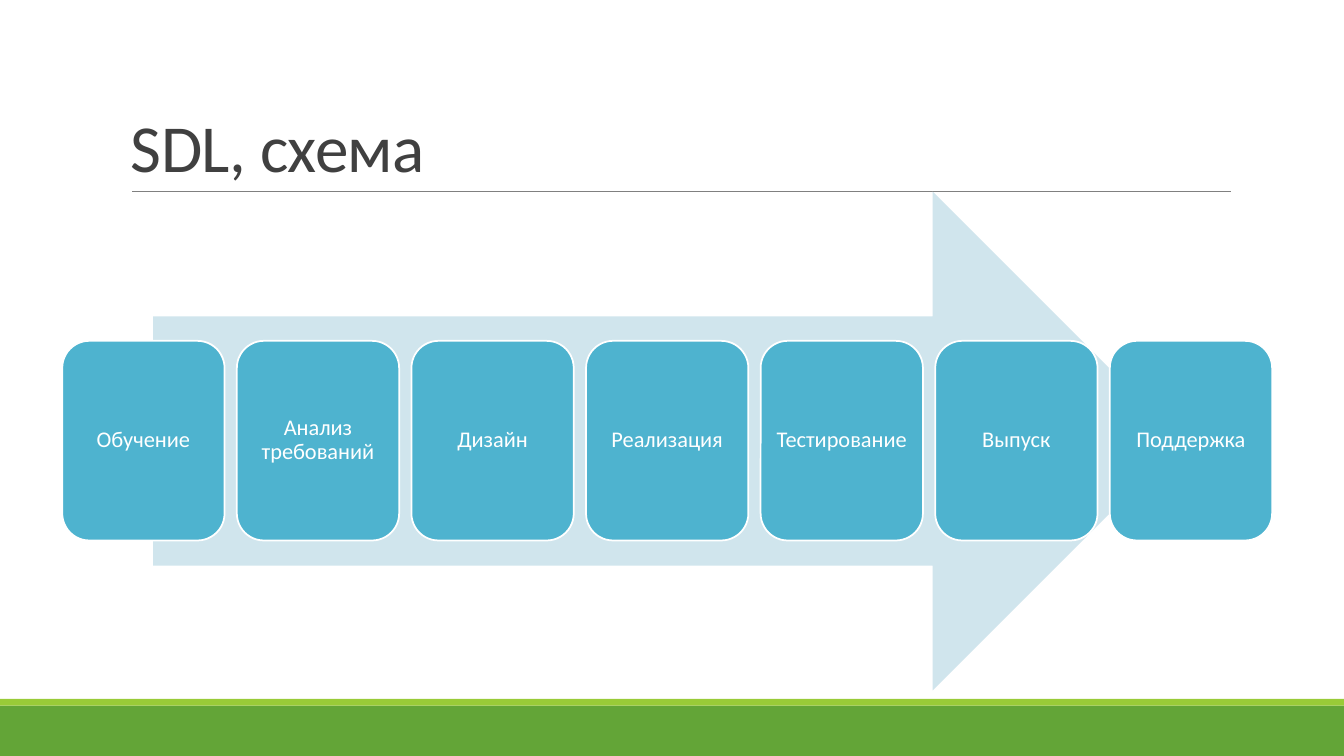
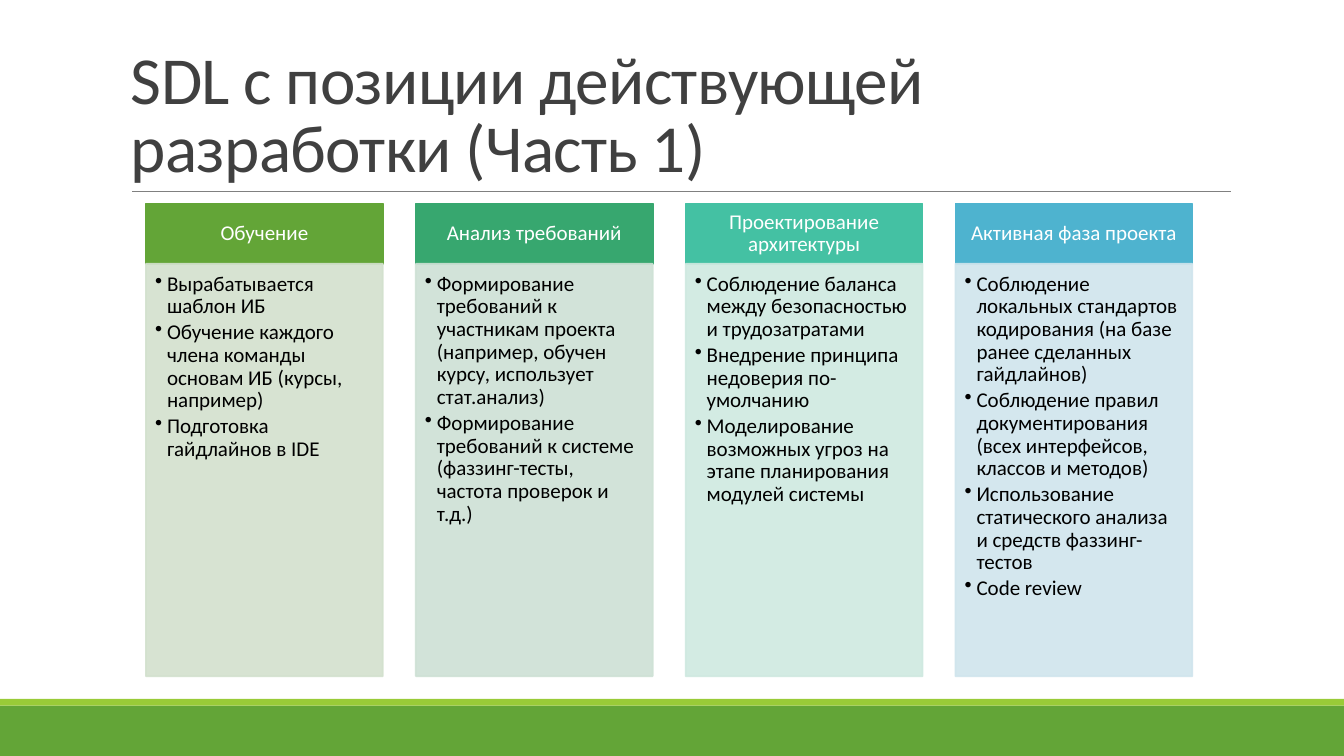
"""Build two slides about the SDL process."""
from dataclasses import dataclass

from lxml import etree
from pptx import Presentation
from pptx.dml.color import RGBColor
from pptx.enum.shapes import MSO_CONNECTOR, MSO_SHAPE
from pptx.enum.text import MSO_ANCHOR, PP_ALIGN
from pptx.oxml.ns import qn
from pptx.util import Cm, Pt

RECT = MSO_SHAPE.RECTANGLE
ROUND = MSO_SHAPE.ROUNDED_RECTANGLE
ARROW = MSO_SHAPE.RIGHT_ARROW
STRAIGHT = MSO_CONNECTOR.STRAIGHT
TOP, MIDDLE, BOTTOM = MSO_ANCHOR.TOP, MSO_ANCHOR.MIDDLE, MSO_ANCHOR.BOTTOM
LEFT, CENTER = PP_ALIGN.LEFT, PP_ALIGN.CENTER


@dataclass(frozen=True)
class Theme:
    """Hold the colours, font and type sizes."""
    font: str = "Calibri"
    title: str = "404040"
    rule: str = "808080"
    green: str = "63A537"
    lime: str = "99CB38"
    leaf: str = "37A76F"
    mint: str = "44C1A3"
    blue: str = "4EB3CF"
    pale_green: str = "D3E1CE"
    pale_leaf: str = "CEE1D5"
    pale_mint: str = "CFE9E0"
    pale_blue: str = "D0E5ED"
    white: str = "FFFFFF"
    black: str = "000000"
    title_size: float = 48
    step_size: float = 16
    list_size: float = 15
    edge: float = 1.25


THEME = Theme()
WIDTH, HEIGHT = 33.87, 19.05

STEPS = ["Обучение", "Анализ требований", "Дизайн", "Реализация",
         "Тестирование", "Выпуск", "Поддержка"]

PHASES = [
    ("Обучение", THEME.green, THEME.pale_green, [
        "Вырабатывается шаблон ИБ",
        "Обучение каждого члена команды основам ИБ (курсы, например)",
        "Подготовка гайдлайнов в IDE"]),
    ("Анализ требований", THEME.leaf, THEME.pale_leaf, [
        "Формирование требований к участникам проекта "
        "(например, обучен курсу, использует стат.анализ)",
        "Формирование требований к системе "
        "(фаззинг-тесты, частота проверок и т.д.)"]),
    ("Проектирование архитектуры", THEME.mint, THEME.pale_mint, [
        "Соблюдение баланса между безопасностью и трудозатратами",
        "Внедрение принципа недоверия по-умолчанию",
        "Моделирование возможных угроз на этапе планирования "
        "модулей системы"]),
    ("Активная фаза проекта", THEME.blue, THEME.pale_blue, [
        "Соблюдение локальных стандартов кодирования "
        "(на базе ранее сделанных гайдлайнов)",
        "Соблюдение правил документирования "
        "(всех интерфейсов, классов и методов)",
        "Использование статического анализа и средств фаззинг-тестов",
        "Code review"]),
]


def add_block(slide, kind, box, fill, edge=None):
    """Add a filled shape, with an outline if an edge colour is given."""
    shape = slide.shapes.add_shape(kind, *map(Cm, box))
    shape.shadow.inherit = False
    shape.fill.solid()
    shape.fill.fore_color.rgb = RGBColor.from_string(fill)
    if edge:
        shape.line.color.rgb = RGBColor.from_string(edge)
        shape.line.width = Pt(THEME.edge)
    else:
        shape.line.fill.background()
    return shape


def fade(shape, percent):
    """Set the opacity of a shape's fill and outline."""
    for tone in shape.element.spPr.iter(qn("a:srgbClr")):
        etree.SubElement(tone, qn("a:alpha"), val=str(percent * 1000))


def set_text(shape, lines, size, color, insets, anchor=MIDDLE, align=CENTER,
             leading=0.9, after=0):
    """Write paragraphs into a shape and return them."""
    frame = shape.text_frame
    frame.word_wrap = True
    frame.vertical_anchor = anchor
    (frame.margin_left, frame.margin_top,
     frame.margin_right, frame.margin_bottom) = map(Cm, insets)
    frame.text = "\n".join(lines)
    for para in frame.paragraphs:
        para.alignment = align
        para.line_spacing = leading
        para.space_after = Pt(after)
        for run in para.runs:
            run.font.name = THEME.font
            run.font.size = Pt(size)
            run.font.color.rgb = RGBColor.from_string(color)
    return frame.paragraphs


def add_dot(para):
    """Give a paragraph a bullet with a hanging indent."""
    props = para._p.get_or_add_pPr()
    props.set("marL", str(Cm(0.3)))
    props.set("indent", str(-Cm(0.3)))
    etree.SubElement(props, qn("a:buChar"), char="•")


def add_rule(slide, left, right, top):
    """Draw a thin level line."""
    line = slide.shapes.add_connector(
        STRAIGHT, Cm(left), Cm(top), Cm(right), Cm(top))
    line.line.color.rgb = RGBColor.from_string(THEME.rule)
    line.line.width = Pt(0.5)
    etree.SubElement(line.element.spPr, qn("a:effectLst"))


def add_page(deck, title):
    """Add a slide with the shared bands, rule and title."""
    slide = deck.slides.add_slide(deck.slide_layouts[6])
    add_block(slide, RECT, (0, 17.78, WIDTH, 1.27), THEME.green)
    add_block(slide, RECT, (0, 17.61, WIDTH, 0.17), THEME.lime)
    add_rule(slide, 3.33, 31.01, 4.83)
    head = slide.shapes.add_textbox(*map(Cm, (3.05, 0.79, 27.94, 4.04)))
    paras = set_text(head, [title], THEME.title_size, THEME.title,
                     (0.25, 0.13, 0.25, 0.13), BOTTOM, LEFT, 0.85)
    for run in paras[0].runs:
        run.font._element.set("spc", "-50")
    return slide


def add_steps(slide, steps):
    """Lay a row of steps over a wide arrow."""
    add_block(slide, ARROW, (3.86, 4.83, 25.93, 12.57), THEME.pale_blue)
    for i, step in enumerate(steps):
        card = add_block(slide, ROUND, (1.57 + 4.4 * i, 8.59, 4.09, 5.03),
                         THEME.blue, THEME.white)
        set_text(card, [step], THEME.step_size, THEME.white, (0.18,) * 4)


def add_phase(slide, left, name, dark, pale, items):
    """Add a column with a heading and a bulleted panel."""
    head = add_block(slide, RECT, (left, 5.13, 5.97, 1.52), dark, dark)
    set_text(head, [name], THEME.list_size, THEME.white,
             (0.3, 0.18, 0.3, 0.18))
    panel = add_block(slide, RECT, (left, 6.65, 5.97, 10.39), pale, pale)
    fade(panel, 90)
    paras = set_text(panel, items, THEME.list_size, THEME.black,
                     (0.23, 0.23, 0.3, 0.33), TOP, LEFT, after=2.25)
    for para in paras:
        add_dot(para)


def main():
    """Build and save the deck."""
    deck = Presentation()
    deck.slide_width, deck.slide_height = Cm(WIDTH), Cm(HEIGHT)
    add_steps(add_page(deck, "SDL, схема"), STEPS)
    slide = add_page(deck, "SDL с позиции действующей разработки (Часть 1)")
    for i, phase in enumerate(PHASES):
        add_phase(slide, 3.68 + 6.8 * i, *phase)
    deck.save("out.pptx")


if __name__ == "__main__":
    main()
